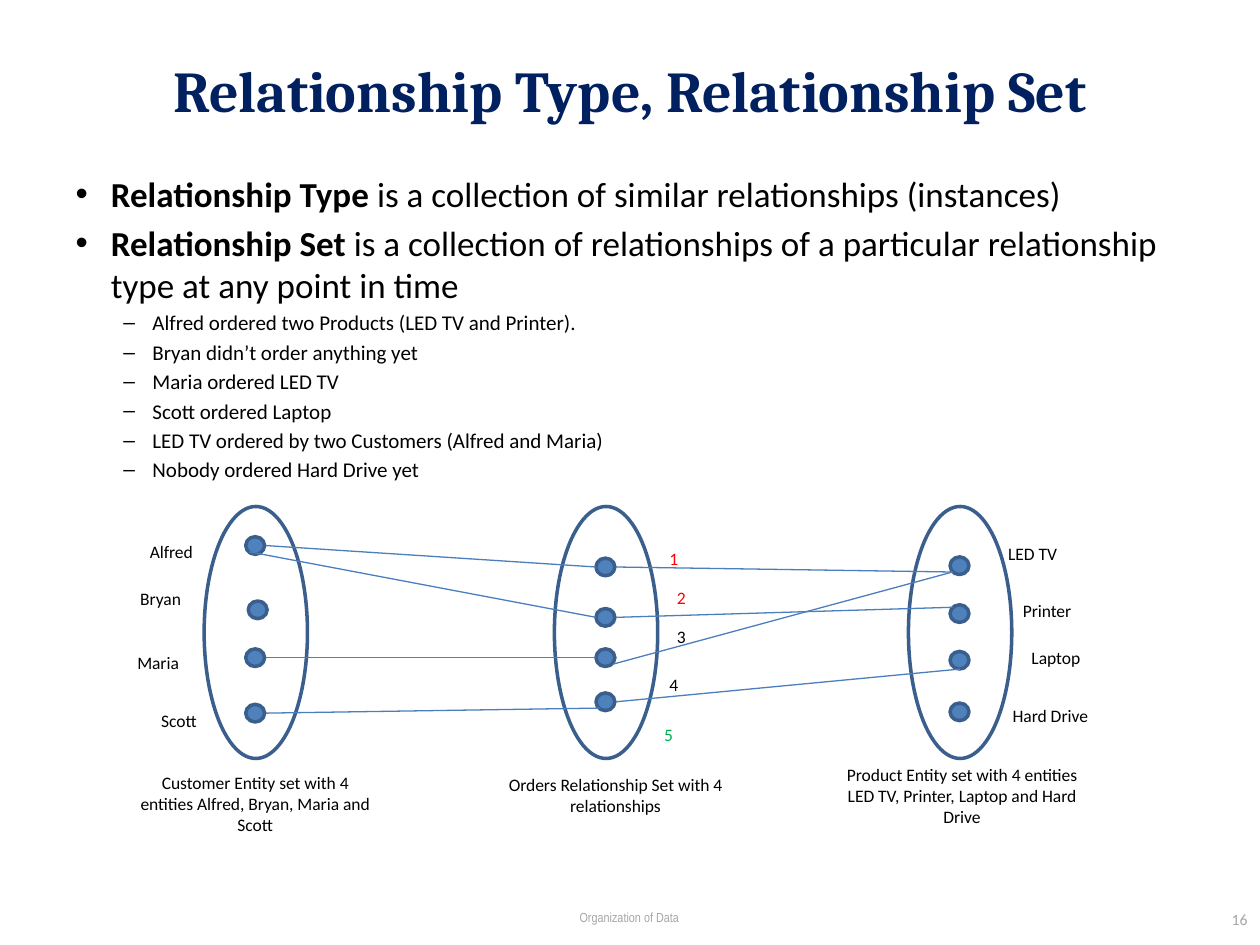
import pptx
import pptx.util
import pptx.dml.color
import pptx.enum.shapes
import pptx.enum.text
import pptx.oxml
import pptx.oxml.ns

Inches = pptx.util.Inches
Pt = pptx.util.Pt
ALIGN = pptx.enum.text.PP_ALIGN
ANCHOR = pptx.enum.text.MSO_ANCHOR
SHAPE = pptx.enum.shapes.MSO_SHAPE

COLORS = {
    "title": "002060", "text": "000000", "muted": "A6A6A6",
    "outline": "3A5F8C", "dot": "4F81BD", "link": "4B7EBC",
    "red": "FF0000", "green": "00B050",
}


def rgb(name):
    return pptx.dml.color.RGBColor.from_string(COLORS[name])


def add_run(paragraph, text, size, color="text", font="Calibri", bold=False):
    run = paragraph.add_run()
    run.text = text
    run.font.size = Pt(size)
    run.font.name = font
    run.font.bold = bold
    run.font.color.rgb = rgb(color)


def place(shape, left, top, width, height):
    shape.left, shape.top = Inches(left), Inches(top)
    shape.width, shape.height = Inches(width), Inches(height)


def add_label(slide, box, text, size=10, color="text", font="Calibri",
              align=ALIGN.CENTER, anchor=ANCHOR.MIDDLE):
    frame = slide.shapes.add_textbox(*map(Inches, box)).text_frame
    frame.word_wrap = True
    frame.vertical_anchor = anchor
    frame.paragraphs[0].alignment = align
    add_run(frame.paragraphs[0], text, size, color, font)


def add_oval(slide, kind, box, fill=None):
    oval = slide.shapes.add_shape(kind, *map(Inches, box))
    oval.shadow.inherit = False
    if fill:
        oval.fill.solid()
        oval.fill.fore_color.rgb = rgb(fill)
    else:
        oval.fill.background()
    oval.line.color.rgb = rgb("outline")
    oval.line.width = Pt(2)


def add_title(slide, box):
    title = slide.shapes.title
    place(title, *box)
    frame = title.text_frame
    frame.vertical_anchor = ANCHOR.MIDDLE
    frame.paragraphs[0].alignment = ALIGN.CENTER
    add_run(frame.paragraphs[0], "Relationship Type, Relationship Set",
            33, "title", "Cambria", True)


def add_definitions(slide, box, definitions, examples):
    body = slide.placeholders[1]
    place(body, *box)
    frame = body.text_frame
    frame.auto_size = pptx.enum.text.MSO_AUTO_SIZE.NONE
    rows = [(0, 20, 0.28, -0.28, "•", runs) for runs in definitions]
    rows += [(1, 12, 0.61, -0.23, "–", [(text, False)]) for text in examples]
    for index, (level, size, margin, indent, bullet, runs) in enumerate(rows):
        paragraph = frame.add_paragraph() if index else frame.paragraphs[0]
        paragraph.level = level
        # Hanging indent and bullet sign
        properties = paragraph._p.get_or_add_pPr()
        properties.set("marL", str(Inches(margin)))
        properties.set("indent", str(Inches(indent)))
        sign = pptx.oxml.parse_xml(
            f'<a:buChar {pptx.oxml.ns.nsdecls("a")} char="{bullet}"/>')
        properties.append(sign)
        for text, bold in runs:
            add_run(paragraph, text, size, bold=bold)


def add_set(slide, left, top, dots, labels, caption):
    """Oval with member dots; label and caption boxes are relative to it."""
    add_oval(slide, SHAPE.OVAL, (left, top, 0.82, 2))
    for x, y in dots:
        add_oval(slide, SHAPE.FLOWCHART_CONNECTOR,
                 (left + x, top + y, 0.15, 0.14), "dot")
    for text, x, y, width, height, color in labels:
        add_label(slide, (left + x, top + y, width, height), text, color=color)
    text, x, y = caption
    add_label(slide, (left + x, top + y, 2.05, 0.54), text)


def add_links(slide, left, top, links):
    for x1, y1, x2, y2 in links:
        link = slide.shapes.add_connector(
            pptx.enum.shapes.MSO_CONNECTOR.STRAIGHT,
            Inches(left + x1), Inches(top + y1),
            Inches(left + x2), Inches(top + y2))
        link.line.color.rgb = rgb("link")
        link.line.width = Pt(0.75)
        link._element.spPr.append(pptx.oxml.parse_xml(
            f'<a:effectLst {pptx.oxml.ns.nsdecls("a")}/>'))


def add_diagram(slide, left, top):
    # Customers
    add_set(slide, left, top,
            [(0.33, 0.24), (0.35, 0.75), (0.33, 1.13), (0.33, 1.57)],
            [("Alfred", -0.61, 0.27, 0.7, 0.17, "text"),
             ("Bryan", -0.61, 0.63, 0.53, 0.2, "text"),
             ("Maria", -0.7, 1.15, 0.67, 0.17, "text"),
             ("Scott", -0.51, 1.59, 0.62, 0.22, "text")],
            ("Customer Entity set with 4 entities Alfred, Bryan, Maria and Scott",
             -0.62, 2.09))
    # Orders
    add_set(slide, left + 2.78, top,
            [(0.33, y) for y in (0.41, 0.81, 1.13, 1.48)],
            [("1", 0.82, 0.36, 0.19, 0.11, "red"),
             ("2", 0.89, 0.65, 0.18, 0.14, "red"),
             ("3", 0.89, 0.95, 0.18, 0.17, "text"),
             ("4", 0.82, 1.32, 0.19, 0.18, "text"),
             ("5", 0.78, 1.72, 0.19, 0.18, "green")],
            ("Orders Relationship Set with 4 relationships", -0.54, 2.02))
    # Products
    add_set(slide, left + 5.59, top,
            [(0.33, y) for y in (0.4, 0.78, 1.15, 1.56)],
            [("LED TV", 0.68, 0.27, 0.61, 0.21, "text"),
             ("Printer", 0.75, 0.74, 0.7, 0.17, "text"),
             ("Laptop", 0.82, 1.11, 0.7, 0.17, "text"),
             ("Hard Drive", 0.68, 1.58, 0.89, 0.16, "text")],
            ("Product Entity set with 4 entities LED TV, Printer, Laptop and Hard Drive",
             -0.6, 2.02))
    # Customer to order, then order to product
    add_links(slide, left, top, [
        (0.49, 0.31, 3.11, 0.48), (0.36, 0.36, 3.11, 0.88),
        (0.49, 1.2, 3.11, 1.2), (0.49, 1.64, 3.14, 1.6),
        (3.27, 0.48, 5.94, 0.52), (3.27, 0.88, 5.94, 0.8),
        (3.25, 1.25, 5.94, 0.52), (3.27, 1.55, 6.0, 1.29)])


def add_footer(slide, top):
    add_label(slide, (2.83, top + 0.04, 4.33, 0.31), "Organization of Data",
              7.5, "muted", "Arial Narrow", anchor=ANCHOR.TOP)
    add_label(slide, (7.17, top, 2.83, 0.33), "16", 9, "muted",
              align=ALIGN.RIGHT)


presentation = pptx.Presentation()
presentation.slide_width = Inches(10)
presentation.slide_height = Inches(7.5)
slide = presentation.slides.add_slide(presentation.slide_layouts[1])

add_title(slide, (0.5, 0, 9, 1.42))
add_definitions(
    slide, (0.5, 1.32, 9, 5.38),
    [[("Relationship Type ", True),
      ("is a collection of similar relationships (instances)", False)],
     [("Relationship Set ", True),
      ("is a collection of relationships of a particular relationship type "
       "at any point in time", False)]],
    ["Alfred ordered two Products (LED TV and Printer).",
     "Bryan didn’t order anything yet",
     "Maria ordered LED TV",
     "Scott ordered Laptop",
     "LED TV ordered by two Customers (Alfred and Maria)",
     "Nobody ordered Hard Drive yet"])
add_diagram(slide, 1.62, 4.02)
add_footer(slide, 7.13)

presentation.save("out.pptx")
